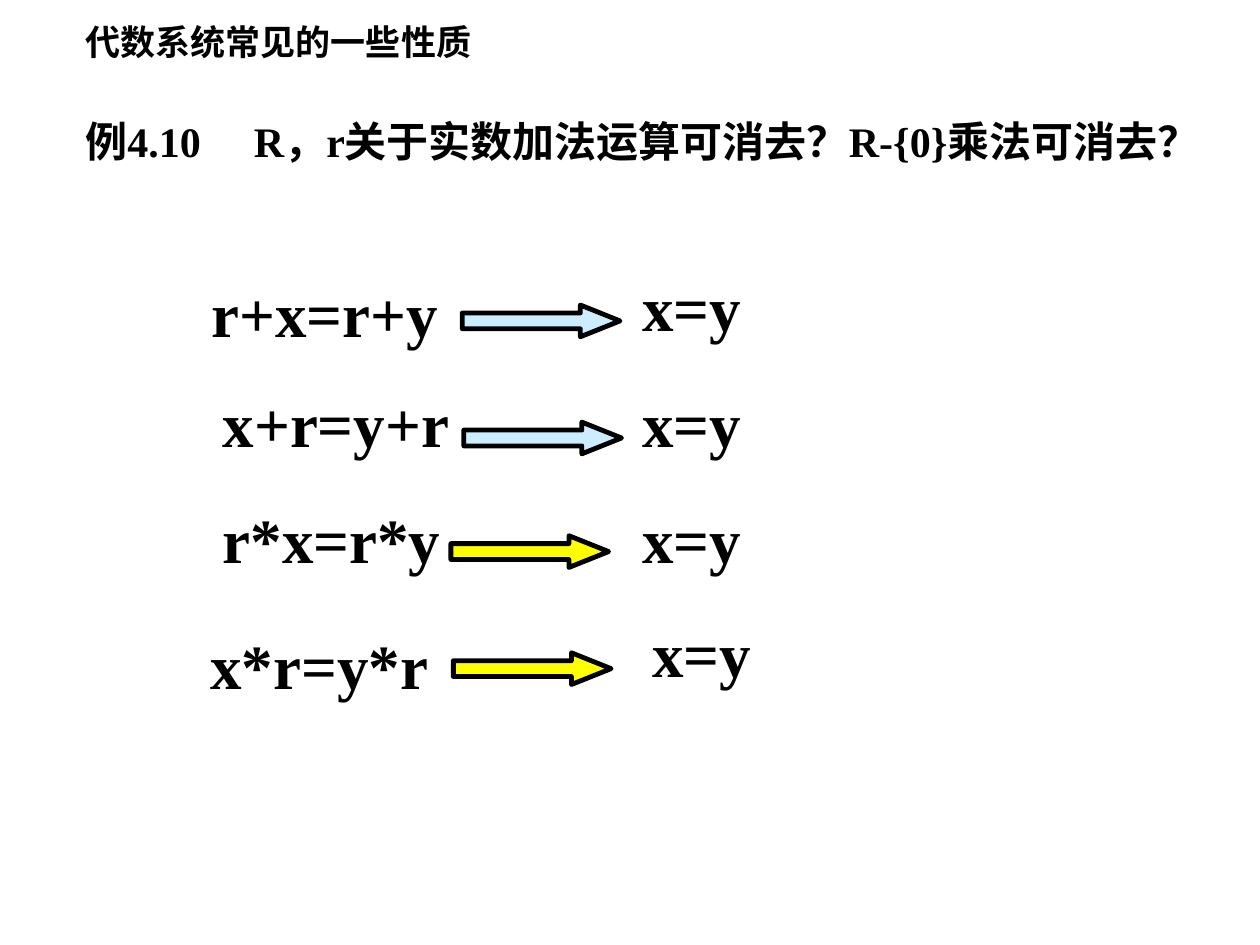
from dataclasses import dataclass

from lxml import etree
from pptx import Presentation
from pptx import util as u
from pptx.dml.color import RGBColor
from pptx.enum import shapes, text
from pptx.oxml.ns import qn


@dataclass(frozen=True)
class Theme:
    ink: RGBColor = RGBColor(0, 0, 0)
    addition: RGBColor = RGBColor(0xCC, 0xEC, 0xFF)
    multiplication: RGBColor = RGBColor(0xFF, 0xFF, 0)
    title_size: u.Pt = u.Pt(20)
    example_size: u.Pt = u.Pt(24)
    formula_size: u.Pt = u.Pt(36)
    outline: u.Pt = u.Pt(2.75)
    title_font: str = "Arial"
    latin: str = "Times New Roman"
    chinese: str = "Noto Sans CJK SC"


theme = Theme()


def style(font, size, name=None):
    font.size, font.bold, font.name = size, True, name
    font.color.rgb = theme.ink


def add_text(words, left, top, width, height, size, wrap=True):
    box = slide.shapes.add_textbox(u.Cm(left), u.Cm(top), u.Cm(width), u.Cm(height))
    box.text_frame.word_wrap = wrap
    box.text_frame.auto_size = text.MSO_AUTO_SIZE.SHAPE_TO_FIT_TEXT
    paragraph = box.text_frame.paragraphs[0]
    paragraph.text = words
    style(paragraph.font, size, theme.latin)
    return paragraph


deck = Presentation()
deck.slide_width, deck.slide_height = u.Cm(25.4), u.Cm(19.05)
slide = deck.slides.add_slide(deck.slide_layouts[5])

title = slide.shapes.title
title.left, title.top, title.width, title.height = u.Cm(1.47), u.Cm(0.28), u.Cm(11.86), u.Cm(1.09)
title.text_frame.text = "代数系统常见的一些性质"
title.text_frame.vertical_anchor = text.MSO_ANCHOR.TOP
title.text_frame.auto_size = text.MSO_AUTO_SIZE.SHAPE_TO_FIT_TEXT
heading = title.text_frame.paragraphs[0]
heading.alignment = text.PP_ALIGN.LEFT
style(heading.font, theme.title_size, theme.title_font)

example = add_text("", 1.47, 2.21, 23.5, 1.27, theme.example_size)
tab_stops = etree.Element(qn("a:tabLst"))
etree.SubElement(tab_stops, qn("a:tab"), pos=str(u.Cm(3.4)), algn="l")
example.font
example._p.pPr.insert(0, tab_stops)
example_parts = [
    ("例", theme.chinese),
    ("4.10\tR，r", theme.latin),
    ("关于实数加法运算可消去？", theme.chinese),
    ("R-{0}", theme.latin),
    ("乘法可消去？", theme.chinese),
]
for words, face in example_parts:
    part = example.add_run()
    part.text = words
    style(part.font, theme.example_size, face)
    etree.SubElement(part.font._element, qn("a:ea"), typeface=theme.chinese)

implications = [
    ("r+x=r+y", (4.01, 5.41, 5.08), (9.32, 6.15), (12.7, 5.28, 5.33), theme.addition),
    ("x+r=y+r", (4.24, 7.62, 5.08), (9.35, 8.51), (12.7, 7.62, 3.81), theme.addition),
    ("r*x=r*y", (4.24, 9.96, 4.9), (9.09, 10.8), (12.7, 9.96, 4.9), theme.multiplication),
    ("x*r=y*r", (3.99, 12.5, 4.9), (9.14, 13.16), (12.9, 12.27, 4.65), theme.multiplication),
]
for premise, premise_at, arrow_at, result_at, fill in implications:
    add_text(premise, *premise_at, 1.78, theme.formula_size, wrap=False)
    add_text("x=y", *result_at, 1.78, theme.formula_size)
    arrow = slide.shapes.add_shape(
        shapes.MSO_SHAPE.RIGHT_ARROW, *map(u.Cm, arrow_at), u.Cm(3.18), u.Cm(0.64)
    )
    arrow.adjustments[0], arrow.adjustments[1] = 0.5, 1.25
    arrow.shadow.inherit = False
    arrow.fill.solid()
    arrow.fill.fore_color.rgb = fill
    arrow.line.color.rgb = theme.ink
    arrow.line.width = theme.outline

deck.save("out.pptx")
